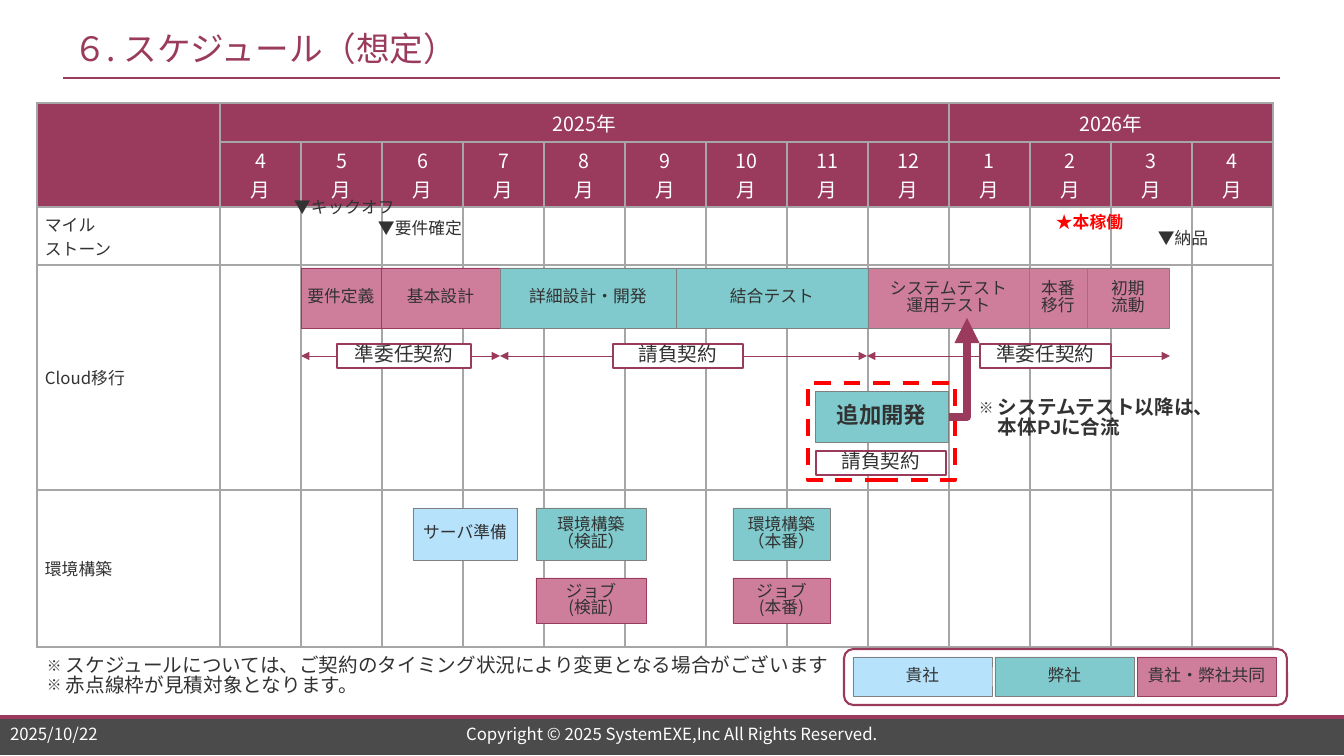
from copy import deepcopy
from lxml import etree
from pptx import Presentation
from pptx import util as u
from pptx.dml.color import RGBColor
from pptx.enum import dml, shapes, text
from pptx.oxml.ns import qn

# Content: lengths in px, 1344 x 756
WINE, ROSE, TEAL, SKY = "9A3B5D", "CE7E9B", "80C9CC", "B6E2FC"
INK, WHITE, GREY, GRID, RED = "323232", "FFFFFF", "808080", "A6A6A6", "FF0000"
NOTO, ARIAL, CALIBRI = "Noto Sans CJK JP", "Arial", "Calibri"

TITLE = "６. スケジュール（想定）"
YEARS = [("2025年", 1, 9), ("2026年", 10, 13)]
MONTHS = [4, 5, 6, 7, 8, 9, 10, 11, 12, 1, 2, 3, 4]
TRACKS = ["マイル\nストーン", "Cloud移行", "環境構築"]
TABLE_LEFT, TABLE_TOP, LABEL_W, MONTH_W = 37, 103, 183, 81
ROW_HEIGHTS = [39, 65, 58, 225, 157]

MILESTONES = [("▼キックオフ", 292, 198, 114, INK), ("▼要件確定", 376, 219, 96, INK),
              ("▼納品", 1156, 229, 114, INK), ("★本稼働", 1054, 213, 79, RED)]
PHASE_EDGES = [301, 381, 500, 676, 868, 1029, 1087, 1169]
PHASES = [("要件定義", ROSE, WINE), ("基本設計", ROSE, WINE), ("詳細設計・開発", TEAL, GREY),
          ("結合テスト", TEAL, GREY), ("システムテスト\n運用テスト", ROSE, GREY),
          ("本番\n移行", ROSE, GREY), ("初期\n流動", ROSE, GREY)]
CONTRACT_EDGES = [301, 500, 867, 1170]
CONTRACTS = [("準委任契約", 337, 134), ("請負契約", 613, 130), ("準委任契約", 980, 131)]
ENVIRONMENTS = [("サーバ準備", 413, 508, 104, 52, SKY, GREY),
                ("環境構築\n（検証）", 536, 508, 110, 52, TEAL, GREY),
                ("環境構築\n（本番）", 733, 508, 97, 52, TEAL, GREY),
                ("ジョブ\n(検証)", 536, 578, 110, 45, ROSE, WINE),
                ("ジョブ\n(本番)", 733, 578, 97, 45, ROSE, WINE)]
LEGEND = [("貴社", SKY, GREY), ("弊社", TEAL, GREY), ("貴社・弊社共同", ROSE, WINE)]
NOTES = "スケジュールについては、ご契約のタイミング状況により変更となる場合がございます\n赤点線枠が見積対象となります。"
MERGE_NOTE = "システムテスト以降は、\v本体PJに合流"
FOOTERS = [("2025/10/22", 0, 158, "LEFT"),
           ("Copyright © 2025 SystemEXE,Inc All Rights Reserved.", 335, 674, "CENTER")]

SCALE = 914400 / 100.8
TIGHT = 0.83
KIND, ANCHOR, ALIGN = shapes.MSO_SHAPE, text.MSO_ANCHOR, text.PP_ALIGN


def px(n):
    return u.Emu(round(n * SCALE))


def color(value):
    return RGBColor.from_string(value)


def apply(target, values):
    for key, value in values.items():
        setattr(target, key, value)


def add_bullet(paragraph):
    props = paragraph._p.get_or_add_pPr()
    props.set("marL", str(px(19)))
    props.set("indent", str(-px(19)))
    etree.SubElement(props, qn("a:buSzPct")).set("val", "75000")
    etree.SubElement(props, qn("a:buFont")).set("typeface", NOTO)
    etree.SubElement(props, qn("a:buChar")).set("char", "※")


def write(frame, words, size=12, font=NOTO, ink=INK, bold=False, align="CENTER",
          spacing=TIGHT, bullet=False):
    frame.text = words
    for paragraph in frame.paragraphs:
        if bullet:
            add_bullet(paragraph)
        apply(paragraph, {"alignment": getattr(ALIGN, align), "line_spacing": spacing,
                          "space_before": u.Pt(0), "space_after": u.Pt(0)})
        for run in paragraph.runs:
            apply(run.font, {"size": u.Pt(size), "name": font, "bold": bold})
            run.font.color.rgb = color(ink)
            east = etree.Element(qn("a:ea"))
            east.set("typeface", NOTO)
            run._r.rPr.find(qn("a:latin")).addnext(east)
        for line_break in paragraph._p.findall(qn("a:br")):
            line_break.insert(0, deepcopy(paragraph.runs[0]._r.rPr))


def set_frame(frame, anchor=ANCHOR.MIDDLE, side=10, edge=5):
    apply(frame, {"word_wrap": True, "auto_size": text.MSO_AUTO_SIZE.NONE,
                  "vertical_anchor": anchor, "margin_left": px(side), "margin_right": px(side),
                  "margin_top": px(edge), "margin_bottom": px(edge)})


def add_box(kind, x, y, w, h, fill=None, line=None, width=0.5, words="", side=0, **style):
    box = slide.shapes.add_shape(kind, *map(px, (x, y, w, h)))
    box.shadow.inherit = False
    if kind == KIND.PENTAGON:
        box.adjustments[0] = 0
    if fill:
        box.fill.solid()
        box.fill.fore_color.rgb = color(fill)
    else:
        box.fill.background()
    if line:
        box.line.color.rgb = color(line)
        box.line.width = u.Pt(width)
    else:
        box.line.fill.background()
    if words:
        set_frame(box.text_frame, side=side, edge=4)
        write(box.text_frame, words, **style)
    return box


def add_words(words, x, y, w, h, anchor=ANCHOR.TOP, side=10, edge=5, **style):
    frame = slide.shapes.add_textbox(*map(px, (x, y, w, h))).text_frame
    set_frame(frame, anchor, side, edge)
    write(frame, words, **style)


def add_line(x1, y1, x2, y2, width, ends=(), kind=shapes.MSO_CONNECTOR.STRAIGHT):
    line = slide.shapes.add_connector(kind, *map(px, (x1, y1, x2, y2)))
    line.line.color.rgb = color(WINE)
    line.line.width = u.Pt(width)
    for end in ends:
        etree.SubElement(line.line._get_or_add_ln(), qn(f"a:{end}")).set("type", "triangle")
    etree.SubElement(line._element.spPr, qn("a:effectLst"))
    return line


def format_cell(cell, fill=None):
    if fill:
        cell.fill.solid()
        cell.fill.fore_color.rgb = color(fill)
    else:
        cell.fill.background()
    props = cell._tc.get_or_add_tcPr()
    for i, side in enumerate(("lnL", "lnR", "lnT", "lnB")):
        border = etree.Element(qn(f"a:{side}"), w="12700")
        paint = etree.SubElement(border, qn("a:solidFill"))
        etree.SubElement(paint, qn("a:srgbClr")).set("val", GRID)
        props.insert(i, border)


def write_cell(cell, words, side=0, **style):
    apply(cell, {"vertical_anchor": ANCHOR.MIDDLE, "margin_left": px(side), "margin_right": 0,
                 "margin_top": px(4), "margin_bottom": px(4)})
    write(cell.text_frame, words, spacing=1.0, **style)


deck = Presentation()
apply(deck, {"slide_width": px(1344), "slide_height": px(756)})
slide = deck.slides.add_slide(deck.slide_layouts[1])

# Title and footnotes
title, notes = slide.placeholders
for holder, (x, y, w, h), anchor in ((title, (63, 20, 1217, 56), ANCHOR.MIDDLE),
                                     (notes, (37, 652, 838, 58), ANCHOR.TOP)):
    apply(holder, dict(zip(("left", "top", "width", "height"), map(px, (x, y, w, h)))))
    set_frame(holder.text_frame, anchor)
write(title.text_frame, TITLE, size=24, ink=WINE, align="LEFT", spacing=1.0)
write(notes.text_frame, NOTES, size=14, font=ARIAL, align="LEFT", bullet=True)
add_line(63, 78, 1280, 78, 1.5)

# Footer
add_box(KIND.RECTANGLE, 0, 716, 1344, 39, "4B4B4B")
add_line(0, 717, 1344, 717, 2.75)
for words, x, w, align in FOOTERS:
    add_words(words, x, 723, w, 24, ANCHOR.MIDDLE, ink=WHITE, align=align)

# Calendar table
widths = [LABEL_W] + [MONTH_W] * len(MONTHS)
calendar = slide.shapes.add_table(len(ROW_HEIGHTS), len(widths), px(TABLE_LEFT), px(TABLE_TOP),
                                  px(sum(widths)), px(sum(ROW_HEIGHTS))).table
for column, w in zip(calendar.columns, widths):
    column.width = px(w)
for r, h in enumerate(ROW_HEIGHTS):
    calendar.rows[r].height = px(h)
    for c in range(len(widths)):
        format_cell(calendar.cell(r, c), WINE if r < 2 else None)
calendar.cell(0, 0).merge(calendar.cell(1, 0))
for year, first, last in YEARS:
    calendar.cell(0, first).merge(calendar.cell(0, last))
    write_cell(calendar.cell(0, first), year, size=14, ink=WHITE)
for c, month in enumerate(MONTHS, 1):
    write_cell(calendar.cell(1, c), f"{month}\n月", size=14, ink=WHITE)
for r, track in enumerate(TRACKS, 2):
    write_cell(calendar.cell(r, 0), track, side=8, align="LEFT")

# Legend
for i, (words, fill, line) in enumerate(LEGEND):
    add_box(KIND.PENTAGON, 853 + 142 * i, 657, 139, 39, fill, line, words=words)
add_box(KIND.ROUNDED_RECTANGLE, 844, 649, 443, 56, None, WINE, 1.5)

# Milestones
for words, x, y, w, ink in MILESTONES:
    add_words(words, x, y, w, 24, side=2, edge=2, ink=ink, bold=ink == RED, align="LEFT")

# Phases
for (words, fill, line), start, end in zip(PHASES, PHASE_EDGES, PHASE_EDGES[1:]):
    add_box(KIND.RECTANGLE, start, 268, end - start, 60, fill, line, words=words, font=ARIAL)

# Contract spans
label = {"fill": WHITE, "line": WINE, "width": 1, "side": 10, "size": 14, "font": CALIBRI}
for (words, x, w), start, end in zip(CONTRACTS, CONTRACT_EDGES, CONTRACT_EDGES[1:]):
    add_line(start, 356, end, 356, 0.5, ("headEnd", "tailEnd"))
    add_box(KIND.RECTANGLE, x, 344, w, 24, words=words, **label)

# Environments
for words, x, y, w, h, fill, line in ENVIRONMENTS:
    add_box(KIND.PENTAGON, x, y, w, h, fill, line, words=words)

# Additional development, joining the system test
estimate = add_box(KIND.RECTANGLE, 808, 383, 147, 97, None, RED, 3)
estimate.line.dash_style = dml.MSO_LINE.DASH
add_words(MERGE_NOTE, 969, 394, 282, 66, size=14, font=ARIAL, bold=True, align="LEFT", bullet=True)
joining = add_line(948, 417, 967, 318, 6, ("tailEnd",), shapes.MSO_CONNECTOR.ELBOW)
joining._element.spPr.find(qn("a:prstGeom")).set("prst", "bentConnector2")
add_box(KIND.RECTANGLE, 816, 451, 130, 24, words="請負契約", **label)
add_box(KIND.PENTAGON, 815, 391, 133, 51, TEAL, GREY, words="追加開発", size=16, bold=True)

deck.save("out.pptx")
